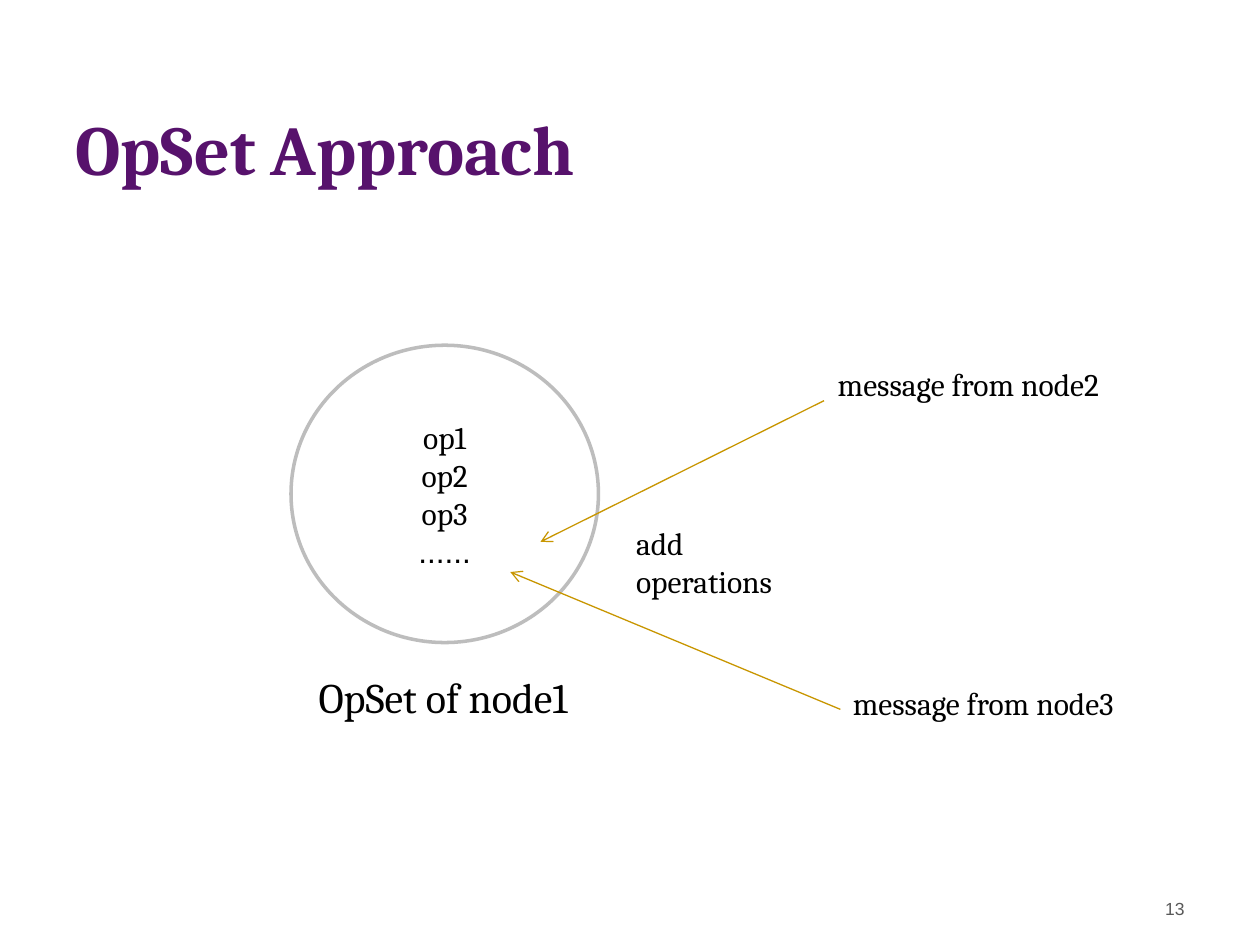
import dataclasses

import pptx
import pptx.dml.color
import pptx.enum.shapes
import pptx.enum.text
import pptx.oxml
import pptx.oxml.ns
import pptx.util

WIDE, HIGH = pptx.util.Inches(10), pptx.util.Inches(7.5)
COLS, ROWS = 100, 75
HUES = {"title": "57126C", "text": "000000", "page": "595959",
        "ring": "BDBDBD", "disc": "FFFFFF", "arrow": "C89600"}
ALIGN = pptx.enum.text.PP_ALIGN
ANCHOR = pptx.enum.text.MSO_ANCHOR


@dataclasses.dataclass
class Label:
    text: str
    box: tuple[float, float, float, float]
    size: int = 18
    hue: str = "text"
    font: str = "Cambria"
    bold: bool = False
    align: ALIGN = ALIGN.LEFT
    anchor: ANCHOR = ANCHOR.TOP


@dataclasses.dataclass
class Arrow:
    start: tuple[float, float]
    end: tuple[float, float]


LABELS = [
    Label("OpSet Approach", (5, 1.3, 82.5, 14.2), 40, "title", bold=True, anchor=ANCHOR.BOTTOM),
    Label("13", (71.7, 70.8, 23.3, 3.9), 10, "page", "Arial", align=ALIGN.RIGHT),
    Label("OpSet of node1", (24.3, 52.8, 24.4, 5), 24),
    Label("message from node2", (65.5, 28.5, 29.5, 4)),
    Label("message from node3", (66.7, 53.8, 29.5, 4)),
    Label("add operations", (49.5, 41.1, 16.3, 7.1)),
]
RING = Label("op1\nop2\nop3\n......", (23.1, 27.4, 24.4, 23.6),
             align=ALIGN.CENTER, anchor=ANCHOR.MIDDLE)
ARROWS = [Arrow((65.4, 31.8), (42.9, 43)), Arrow((66.7, 56.3), (40.5, 45.4))]


def place(*cells: float) -> list[int]:
    units = (WIDE / COLS, HIGH / ROWS)
    return [round(cell * units[i % 2]) for i, cell in enumerate(cells)]


def paint(name: str) -> pptx.dml.color.RGBColor:
    return pptx.dml.color.RGBColor.from_string(HUES[name])


def write(frame, label: Label) -> None:
    frame.text = label.text
    frame.word_wrap = True
    frame.vertical_anchor = label.anchor
    for para in frame.paragraphs:
        para.alignment = label.align
        for run in para.runs:
            run.font.name = label.font
            run.font.size = pptx.util.Pt(label.size)
            run.font.bold = label.bold
            run.font.color.rgb = paint(label.hue)


def draw_label(slide, label: Label) -> None:
    write(slide.shapes.add_textbox(*place(*label.box)).text_frame, label)


def draw_ring(slide, label: Label) -> None:
    oval = pptx.enum.shapes.MSO_SHAPE.OVAL
    ring = slide.shapes.add_shape(oval, *place(*label.box))
    ring.shadow.inherit = False
    ring.fill.solid()
    ring.fill.fore_color.rgb = paint("disc")
    ring.line.color.rgb = paint("ring")
    ring.line.width = pptx.util.Pt(2)
    write(ring.text_frame, label)
    ring.text_frame.paragraphs[-1].runs[0].font.name = "Arial"


def draw_arrow(slide, arrow: Arrow) -> None:
    kind = pptx.enum.shapes.MSO_CONNECTOR.STRAIGHT
    line = slide.shapes.add_connector(kind, *place(*arrow.start, *arrow.end))
    line.line.color.rgb = paint("arrow")
    line.line.width = pptx.util.Pt(0.75)
    space = pptx.oxml.ns.nsdecls("a")
    tip = pptx.oxml.parse_xml(f'<a:tailEnd {space} type="arrow"/>')
    line.line._get_or_add_ln().append(tip)
    line._element.spPr.append(pptx.oxml.parse_xml(f"<a:effectLst {space}/>"))


def main() -> None:
    deck = pptx.Presentation()
    deck.slide_width, deck.slide_height = WIDE, HIGH
    slide = deck.slides.add_slide(deck.slide_layouts[6])
    draw_ring(slide, RING)
    for arrow in ARROWS:
        draw_arrow(slide, arrow)
    for label in LABELS:
        draw_label(slide, label)
    deck.save("out.pptx")


if __name__ == "__main__":
    main()
